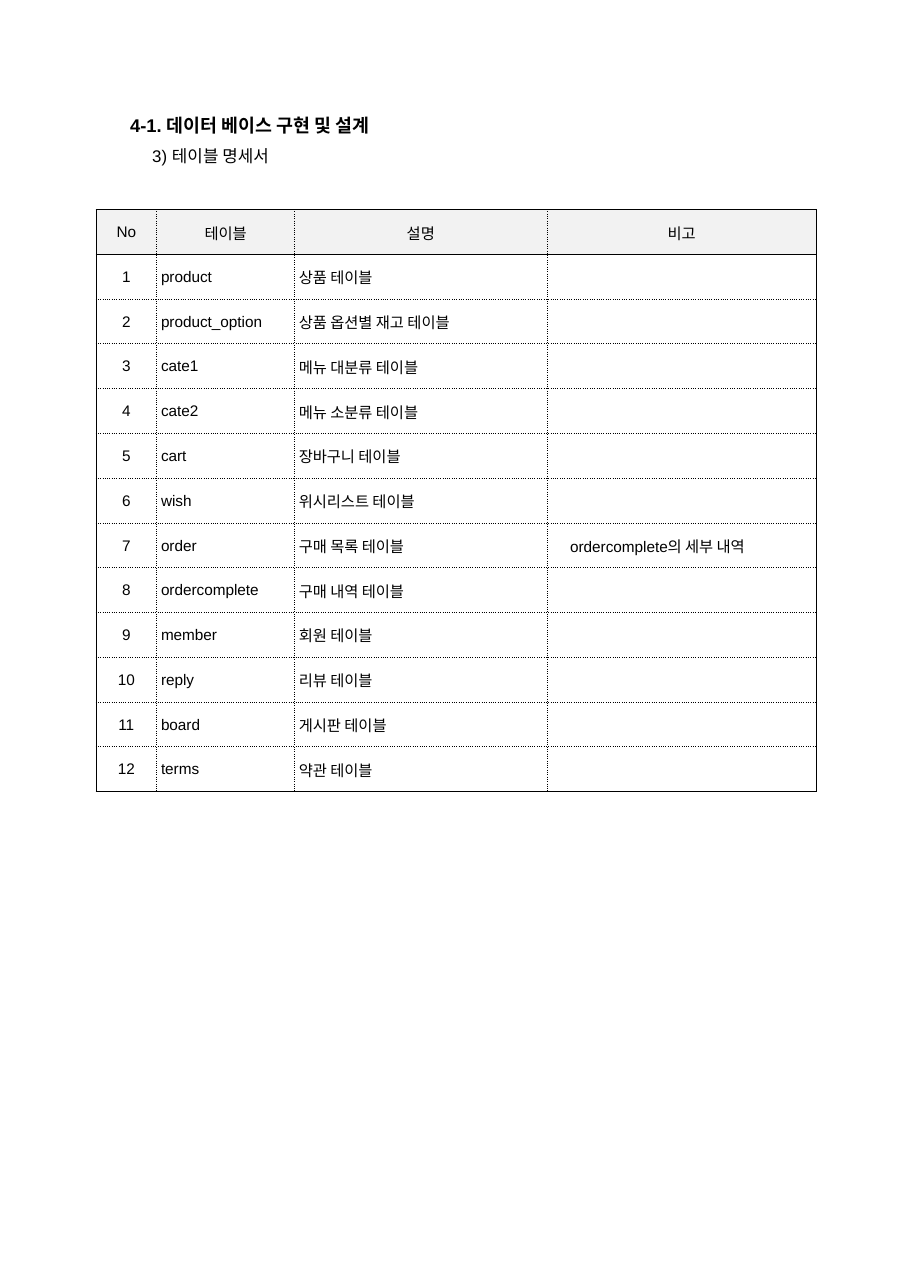
from dataclasses import dataclass
from typing import Any

from lxml.etree import SubElement
from pptx import Presentation
from pptx.dml.color import RGBColor
from pptx.enum.text import MSO_ANCHOR, MSO_AUTO_SIZE, PP_ALIGN
from pptx.oxml.ns import qn
from pptx.util import Inches, Pt

GRID_COLUMNS, GRID_ROWS = 826, 1168
GRID_UNIT = Inches(0.01)
COLORS = {"ink": "000000", "header": "F2F2F2"}
FONT = "Arial"

TABLE_LEFT, TABLE_TOP = 87, 190
COLUMN_SPANS = (55, 125, 229, 244)
ROW_SPAN = 40.6
REMARK_INDENT = 17
HEADERS = ("No", "테이블", "설명", "비고")
ENTRIES = (
    ("product", "상품 테이블"),
    ("product_option", "상품 옵션별 재고 테이블"),
    ("cate1", "메뉴 대분류 테이블"),
    ("cate2", "메뉴 소분류 테이블"),
    ("cart", "장바구니 테이블"),
    ("wish", "위시리스트 테이블"),
    ("order", "구매 목록 테이블"),
    ("ordercomplete", "구매 내역 테이블"),
    ("member", "회원 테이블"),
    ("reply", "리뷰 테이블"),
    ("board", "게시판 테이블"),
    ("terms", "약관 테이블"),
)
REMARKS = {"order": "ordercomplete의 세부 내역"}


@dataclass(frozen=True)
class Heading:
    """A heading line placed on the slide grid."""

    text: str
    left: int
    top: int
    width: int
    height: int
    size: int
    leading: float
    bold: bool


@dataclass(frozen=True)
class Border:
    """The weight and dash of one cell edge."""

    points: float = 0.5
    dash: str = "solid"


HEADINGS = (
    Heading("4-1. 데이터 베이스 구현 및 설계", 118, 104, 311, 20, 12, 13.8, True),
    Heading("3) 테이블 명세서", 138, 135, 121, 15, 11, 11.4, False),
)
SOLID, DOTTED, HEAVY = Border(), Border(dash="dot"), Border(points=1)


def grid(count: float) -> int:
    """Convert grid columns or rows to slide units."""
    return round(count * GRID_UNIT)


def apply_format(target: Any, values: dict[str, Any]) -> None:
    """Set every attribute named in the format values."""
    for name, value in values.items():
        setattr(target, name, value)


def write_text(para: Any, text: str, size: int, bold: bool = False) -> None:
    """Add one formatted span to a paragraph."""
    span = para.add_run()
    span.text = text
    apply_format(span.font, {"name": FONT, "size": Pt(size), "bold": bold})
    span.font.color.rgb = RGBColor.from_string(COLORS["ink"])


def draw_heading(box: Any, heading: Heading) -> None:
    """Move a placeholder and fill it with a heading."""
    places = ("left", "top", "width", "height")
    apply_format(box, {name: grid(getattr(heading, name)) for name in places})
    margins = ("margin_left", "margin_top", "margin_right", "margin_bottom")
    apply_format(box.text_frame, {
        **dict.fromkeys(margins, 0),
        "word_wrap": True,
        "auto_size": MSO_AUTO_SIZE.NONE,
        "vertical_anchor": MSO_ANCHOR.TOP,
    })
    para = box.text_frame.paragraphs[0]
    apply_format(para, {
        "alignment": PP_ALIGN.LEFT,
        "line_spacing": Pt(heading.leading),
        "space_before": Pt(0),
    })
    properties = para._p.get_or_add_pPr()
    for name in ("marL", "indent"):
        properties.set(name, "0")
    SubElement(properties, qn("a:buNone"))
    write_text(para, heading.text, heading.size, heading.bold)


def draw_borders(cell: Any, borders: dict[str, Border]) -> None:
    """Draw the four edges of a table cell."""
    properties = cell._tc.get_or_add_tcPr()
    for side, border in borders.items():
        line = SubElement(properties, qn(f"a:ln{side}"), w=str(Pt(border.points)))
        fill = SubElement(line, qn("a:solidFill"))
        SubElement(fill, qn("a:srgbClr"), val=COLORS["ink"])
        SubElement(line, qn("a:prstDash"), val=border.dash)


def draw_cell(cell: Any, text: str, row: int, column: int) -> None:
    """Format and fill a cell according to its place in the table."""
    last_column, last_row = len(HEADERS) - 1, len(ENTRIES)
    is_header = row == 0
    is_remark = column == last_column and not is_header
    draw_borders(cell, {
        "L": SOLID if column == 0 else DOTTED,
        "R": SOLID if column == last_column else DOTTED,
        "T": SOLID if row <= 1 else DOTTED,
        "B": SOLID if is_header else HEAVY if row == last_row else DOTTED,
    })
    apply_format(cell, {
        "margin_left": grid(4 + REMARK_INDENT * is_remark),
        "margin_top": grid(1),
        "margin_right": grid(4),
        "margin_bottom": 0,
        "vertical_anchor": MSO_ANCHOR.MIDDLE,
    })
    if is_header:
        cell.fill.solid()
        cell.fill.fore_color.rgb = RGBColor.from_string(COLORS["header"])
    else:
        cell.fill.background()
    if text:
        para = cell.text_frame.paragraphs[0]
        centred = is_header or column == 0
        para.alignment = PP_ALIGN.CENTER if centred else PP_ALIGN.LEFT
        write_text(para, text, 10)


def draw_table(page: Any) -> None:
    """Draw the list of database tables."""
    rows = [HEADERS] + [
        (str(number), name, description, REMARKS.get(name, ""))
        for number, (name, description) in enumerate(ENTRIES, 1)
    ]
    table = page.shapes.add_table(
        len(rows), len(HEADERS), grid(TABLE_LEFT), grid(TABLE_TOP),
        grid(sum(COLUMN_SPANS)), grid(ROW_SPAN * len(rows)),
    ).table
    apply_format(table, {"first_row": False, "horz_banding": False})
    for column, span in zip(table.columns, COLUMN_SPANS):
        column.width = grid(span)
    for row, texts in enumerate(rows):
        table.rows[row].height = grid(ROW_SPAN)
        for column, text in enumerate(texts):
            draw_cell(table.cell(row, column), text, row, column)


def main() -> None:
    """Build and save the table specification slide."""
    deck = Presentation()
    apply_format(deck, {
        "slide_width": grid(GRID_COLUMNS),
        "slide_height": grid(GRID_ROWS),
    })
    page = deck.slides.add_slide(deck.slide_layouts[1])
    for box, heading in zip(page.placeholders, HEADINGS):
        draw_heading(box, heading)
    draw_table(page)
    deck.save("out.pptx")


main()
